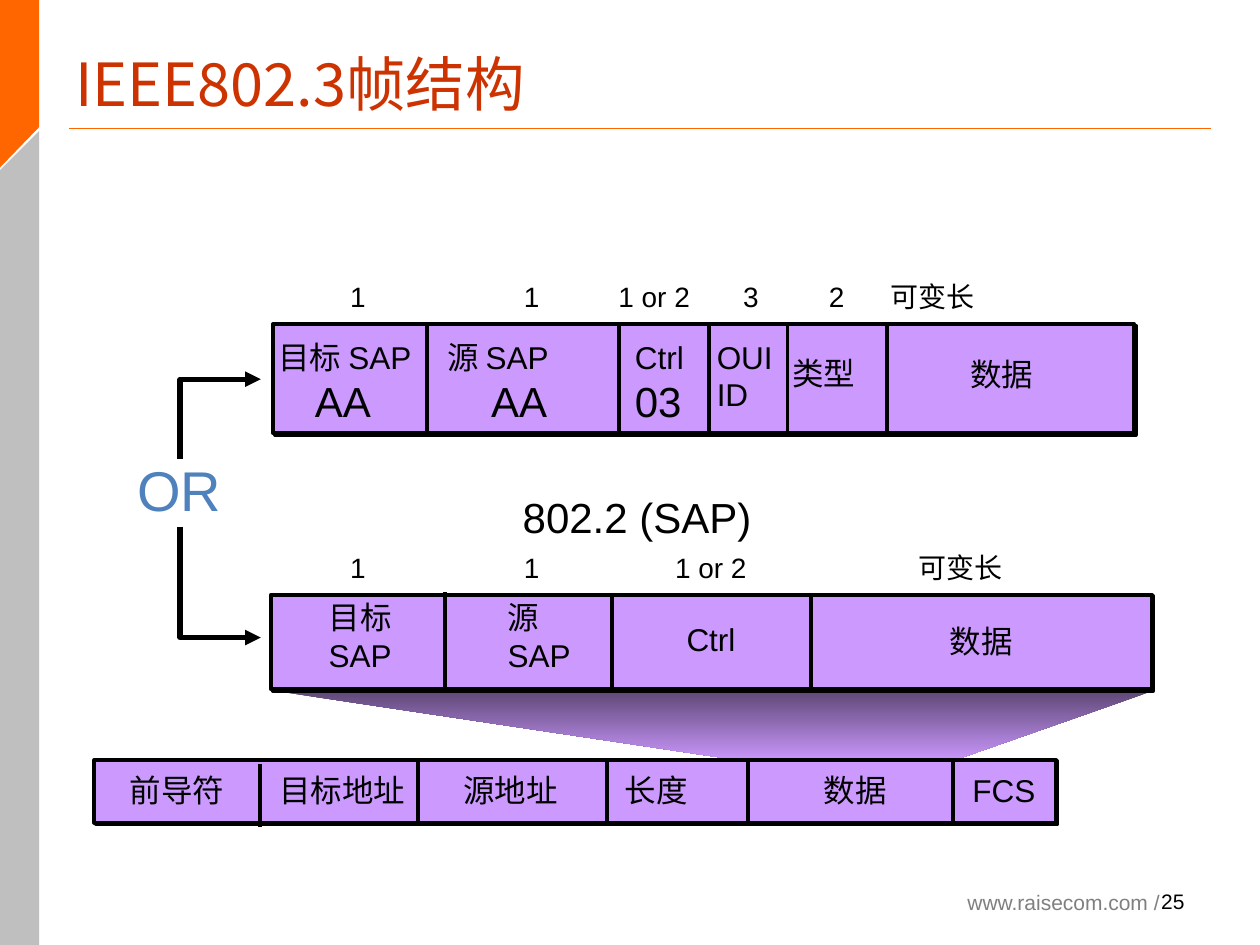
import lxml.etree
import pptx
import pptx.dml.color
import pptx.enum.shapes
import pptx.enum.text
import pptx.oxml.ns
import pptx.util

Inches = pptx.util.Inches
qn = pptx.oxml.ns.qn
BLACK, VIOLET, ORANGE = "000000", "CC99FF", "FF6600"
DATA, VARIABLE = "数据", "可变长"


def color(value):
    return pptx.dml.color.RGBColor.from_string(value)


def add_text(slide, box, lines, size=18, ink=BLACK, font="Arial", wrap=False,
             align=None, middle=True):
    """Each line is a string or a (string, size, left indent) tuple."""
    frame = slide.shapes.add_textbox(*map(Inches, box)).text_frame
    frame.word_wrap = wrap
    if not wrap:
        frame.auto_size = pptx.enum.text.MSO_AUTO_SIZE.SHAPE_TO_FIT_TEXT
    anchors = pptx.enum.text.MSO_ANCHOR
    frame.vertical_anchor = anchors.MIDDLE if middle else anchors.TOP
    if isinstance(lines, str):
        lines = [lines]
    for number, line in enumerate(lines):
        words, points, indent = (line, size, 0) if isinstance(line, str) else line
        paragraph = frame.add_paragraph() if number else frame.paragraphs[0]
        paragraph.text = words
        if indent:
            paragraph._p.get_or_add_pPr().set("marL", str(Inches(indent)))
        paragraph.alignment = align
        paragraph.font.size = pptx.util.Pt(points)
        paragraph.font.name = font
        paragraph.font.color.rgb = color(ink)


def add_line(slide, start, end, ink=BLACK, width=2.25):
    line = slide.shapes.add_connector(
        pptx.enum.shapes.MSO_CONNECTOR.STRAIGHT, *map(Inches, start + end))
    line.line.color.rgb = color(ink)
    line.line.width = pptx.util.Pt(width)
    lxml.etree.SubElement(line._element.spPr, qn("a:effectLst"))


def add_outline(slide, points, closed=True):
    corners = [(Inches(x), Inches(y)) for x, y in points]
    builder = slide.shapes.build_freeform(*corners[0])
    builder.add_line_segments(corners[1:], close=closed)
    outline = builder.convert_to_shape()
    outline.shadow.inherit = False
    return outline


def add_polygon(slide, points, fill):
    polygon = add_outline(slide, points)
    polygon.line.fill.background()
    polygon.fill.solid()
    polygon.fill.fore_color.rgb = color(fill)


def add_funnel(slide, points):
    """Draw the shaded area that links a frame to the field it fills."""
    funnel = add_outline(slide, points)
    funnel.line.fill.background()
    funnel.fill.gradient()
    funnel.fill.gradient_angle = 270
    for stop, shade in zip(funnel.fill.gradient_stops, ("5E4776", VIOLET)):
        stop.color.rgb = color(shade)


def add_elbow_arrow(slide, points):
    arrow = add_outline(slide, points, closed=False)
    arrow.fill.background()
    arrow.line.color.rgb = color(BLACK)
    arrow.line.width = pptx.util.Pt(3)
    lxml.etree.SubElement(arrow.line._get_or_add_ln(), qn("a:tailEnd"), type="triangle")


def add_frame(slide, box, dividers, fields, wrap=False):
    """Draw a frame bar with its field texts and (x, top, bottom) dividers."""
    bar = slide.shapes.add_shape(
        pptx.enum.shapes.MSO_SHAPE.RECTANGLE, *map(Inches, box))
    bar.fill.solid()
    bar.fill.fore_color.rgb = color(VIOLET)
    bar.line.color.rgb = color(BLACK)
    bar.line.width = pptx.util.Pt(2.25)
    bar.shadow.inherit = False
    shadow = lxml.etree.SubElement(
        bar._element.spPr.find(qn("a:effectLst")), qn("a:outerShdw"),
        dist=str(pptx.util.Pt(1.4)), dir="2700000", algn="ctr", rotWithShape="0")
    lxml.etree.SubElement(shadow, qn("a:srgbClr"), val=BLACK)
    for field_box, lines in fields:
        add_text(slide, field_box, lines, wrap=wrap)
    for x, top, bottom in dividers:
        add_line(slide, (x, top), (x, bottom))


def add_lengths(slide, top, lengths, wrap=False):
    for left, width, length in lengths:
        add_text(slide, (left, top, width, 0.37), length, size=16, wrap=wrap)


def add_page_furniture(slide):
    add_polygon(slide, [(0, 1.35), (0.31, 1.04), (0.31, 7.5), (0, 7.5)], "BFBFBF")
    add_polygon(slide, [(0, 1.33), (0.31, 1.01), (0.31, 0), (0, 0)], ORANGE)
    add_line(slide, (0.55, 1.02), (9.61, 1.02), ORANGE, 0.75)
    add_text(slide, (7.58, 7.01, 2.03, 0.3), "www.raisecom.com /", size=12,
             ink="7F7F7F", wrap=True, middle=False)
    add_text(slide, (0.5, 0.38, 9, 0.56), "IEEE802.3帧结构", size=34, ink="CC3300",
             font="Noto Sans CJK SC", wrap=True)
    add_text(slide, (8.67, 6.95, 0.83, 0.4), "25", size=12, wrap=True,
             align=pptx.enum.text.PP_ALIGN.RIGHT)


def add_snap_frame(slide):
    add_lengths(slide, 2.17, [
        (2.68, 0.31, "1"), (4.06, 0.31, "1"), (4.81, 0.92, "1 or 2"),
        (5.8, 0.31, "3"), (6.48, 0.31, "2"), (6.97, 1.22, VARIABLE)], wrap=True)
    add_frame(
        slide, (2.17, 2.57, 6.83, 0.87),
        [(3.39, 2.59, 3.43), (4.91, 2.56, 3.43), (5.63, 2.56, 3.43),
         (6.25, 2.59, 3.43), (7.04, 2.59, 3.46)],
        [((2.05, 2.63, 1.51, 0.8), [("目标 SAP", 18, 0.06), ("AA", 24, 0.35)]),
         ((3.17, 2.63, 1.99, 0.8), [("源 SAP", 18, 0.28), ("AA", 24, 0.63)]),
         ((4.94, 2.63, 0.65, 0.8), ["Ctrl", ("03", 24, 0)]),
         ((5.59, 2.63, 0.69, 0.7), ["OUI", "ID"]),
         ((6.19, 2.76, 0.91, 0.4), "类型"),
         ((7.6, 2.77, 0.88, 0.4), DATA)], wrap=True)


def add_sap_frame(slide):
    add_text(slide, (4.05, 3.85, 2.78, 0.5), "802.2 (SAP)", size=24, wrap=True)
    add_lengths(slide, 4.32, [
        (2.68, 0.32, "1"), (4.06, 0.32, "1"), (5.26, 0.78, "1 or 2"),
        (7.19, 0.88, VARIABLE)])
    add_frame(
        slide, (2.15, 4.72, 6.99, 0.75),
        [(3.53, 4.7, 5.46), (4.86, 4.74, 5.46), (6.44, 4.74, 5.46)],
        [((2.51, 4.7, 0.75, 0.7), "目标\vSAP"),
         ((3.93, 4.7, 0.7, 0.7), "源\vSAP"),
         ((5.35, 4.87, 0.59, 0.4), "Ctrl"),
         ((7.44, 4.89, 0.7, 0.4), DATA)])


def add_ethernet_frame(slide):
    fields = [(0.93, 0.95, "前导符"), (2.12, 1.2, "目标地址"), (3.58, 0.95, "源地址"),
              (4.86, 0.7, "长度"), (6.44, 0.7, DATA), (7.62, 0.7, "FCS")]
    add_frame(
        slide, (0.75, 6.03, 7.63, 0.5),
        [(2.06, 6.06, 6.56)] + [(x, 6.04, 6.54) for x in (3.32, 4.82, 5.94, 7.56)],
        [((left, 6.07, width, 0.4), name) for left, width, name in fields])


def main():
    deck = pptx.Presentation()
    deck.slide_width, deck.slide_height = Inches(10), Inches(7.5)
    slide = deck.slides.add_slide(deck.slide_layouts[6])
    add_page_furniture(slide)
    add_funnel(slide, [(5.97, 6.05), (2.16, 5.48), (9.13, 5.49), (7.53, 6.05)])
    add_snap_frame(slide)
    add_sap_frame(slide)
    add_ethernet_frame(slide)
    add_text(slide, (0.99, 3.56, 0.87, 0.64), "OR", size=32, ink="4F81BD", wrap=True)
    for start, turn in ((3.64, 3.01), (4.18, 5.06)):
        add_elbow_arrow(slide, [(1.43, start), (1.43, turn), (2.07, turn)])
    deck.save("out.pptx")


if __name__ == "__main__":
    main()
